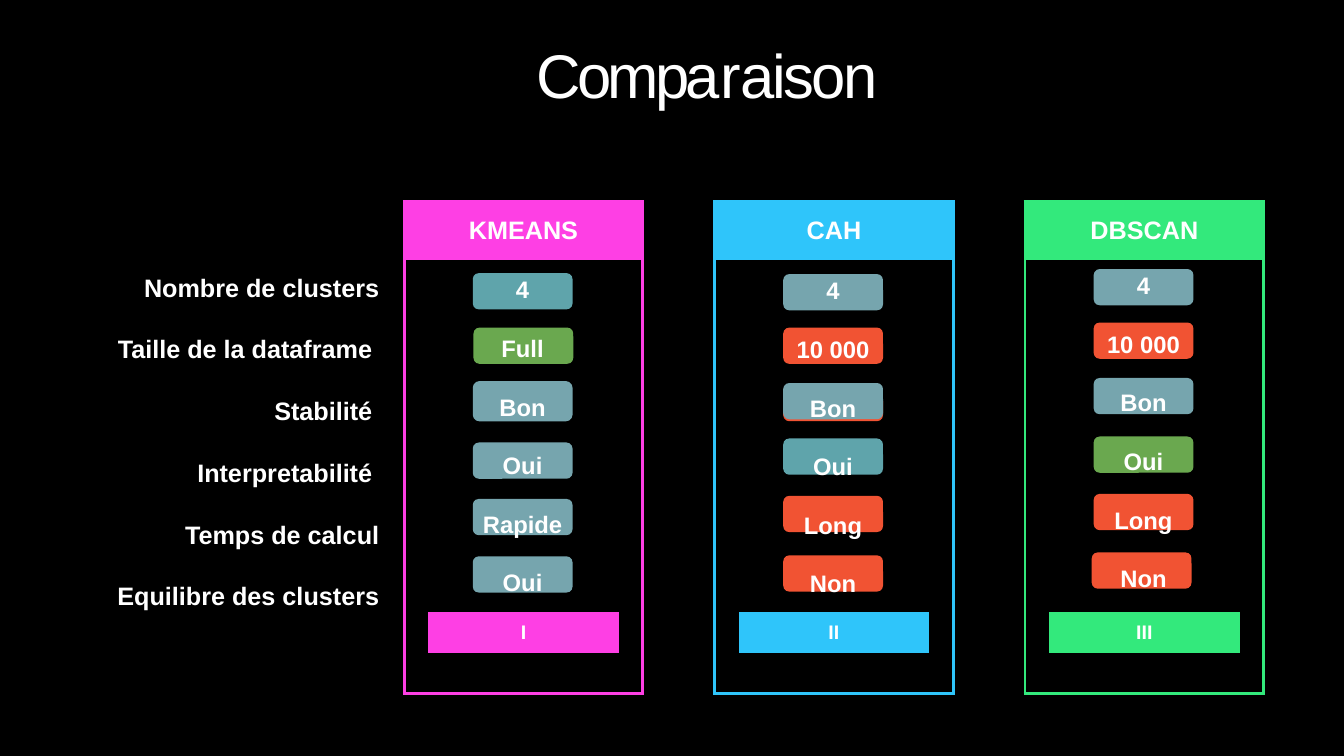
from dataclasses import dataclass

from lxml.etree import SubElement
from pptx import Presentation
from pptx.dml.color import RGBColor
from pptx.enum.shapes import MSO_SHAPE
from pptx.enum.text import MSO_ANCHOR, MSO_AUTO_SIZE, PP_ALIGN
from pptx.oxml.ns import qn
from pptx.util import Pt


@dataclass(frozen=True)
class Theme:
    font: str = "Arial"
    background: str = "000000"
    text: str = "FFFFFF"
    teal: str = "5FA4AB"
    slate: str = "76A5AE"
    green: str = "6AA84F"
    orange: str = "F15333"
    kmeans: str = "FE3FE4"
    cah: str = "2FC5FA"
    dbscan: str = "33E97C"
    title_size: float = 44
    label_size: float = 18
    value_size: float = 17
    rank_size: float = 14


THEME = Theme()
NO_GRID_STYLE = "{2D5ABB26-0587-4C30-8999-92F81FD0307C}"

# Card grid, in points
CARD_LEFT, CARD_TOP, CARD_STEP = 288.7, 144, 221.75
CARD_COLUMNS = (16.6, 136, 16.6)
CARD_ROWS = (41.8, 87.1, 62.6, 72.7, 28.1, 29.5, 28.1)
RANK_ROW = 5
BORDER = 2.25
PILL_INSET, PILL_WIDTH, PILL_HEIGHT = 49, 71.3, 25.9
VALUES_INSET, VALUES_WIDTH, VALUES_HEIGHT = 36.7, 95.8, 255.6

CRITERIA = (
    "Nombre de clusters", "Taille de la dataframe ", "Stabilité ",
    "Interpretabilité ", "Temps de calcul", "Equilibre des clusters",
)


@dataclass(frozen=True)
class Method:
    name: str
    rank: str
    color: str
    values_top: float
    values: tuple
    pills: tuple  # top, fill, then height and sideways shift where they differ


METHODS = (
    Method("KMEANS", "I", THEME.kmeans, 193,
           ("4", "Full", "Bon", "Oui", "Rapide", "Oui"),
           ((195.1, THEME.teal), (234, THEME.green, PILL_HEIGHT, 0.5),
            (272.2, THEME.slate, 28.8), (316.1, THEME.slate),
            (356.4, THEME.slate), (397.4, THEME.slate))),
    Method("CAH", "II", THEME.cah, 193.7,
           ("4", "10 000", "Bon", "Oui", "Long", "Non"),
           ((195.8, THEME.slate), (234, THEME.orange),
            (275, THEME.orange), (273.6, THEME.slate), (313.2, THEME.teal),
            (354.2, THEME.orange), (396.7, THEME.orange))),
    Method("DBSCAN", "III", THEME.dbscan, 190.1,
           ("4", "10 000", "Bon", "Oui", "Long", "Non"),
           ((192.2, THEME.slate), (230.4, THEME.orange),
            (270, THEME.slate), (311.8, THEME.green),
            (352.8, THEME.orange), (394.6, THEME.orange, PILL_HEIGHT, -1.4))),
)


def rgb(color):
    return RGBColor.from_string(color)


def style_paragraph(paragraph, size, align, bold=True):
    paragraph.alignment = align
    font = paragraph.font
    font.name, font.size, font.bold = THEME.font, Pt(size), bold
    font.color.rgb = rgb(THEME.text)


def add_title(slide):
    title = slide.shapes.title
    title.left, title.top, title.width, title.height = Pt(381.6), Pt(23), Pt(289.4), Pt(54.7)
    frame = title.text_frame
    frame.auto_size = MSO_AUTO_SIZE.NONE
    frame.vertical_anchor = MSO_ANCHOR.TOP
    frame.margin_left, frame.margin_top = Pt(1.4), Pt(3.5)
    frame.margin_right = frame.margin_bottom = 0
    heading = frame.paragraphs[0]
    # Letter spacing in hundredths of a point
    for part, tracking in (("Compa", -260), ("r", -180), ("aison", -190)):
        run = heading.add_run()
        run.text = part
        run.font._element.set("spc", str(tracking))
    style_paragraph(heading, THEME.title_size, PP_ALIGN.LEFT, bold=False)


def add_text_column(slide, lines, box, size, align, gap):
    frame = slide.shapes.add_textbox(*map(Pt, box)).text_frame
    frame.word_wrap = True
    for index, line in enumerate(lines):
        paragraph = frame.add_paragraph() if index else frame.paragraphs[0]
        paragraph.text = line
        if index:
            paragraph.space_before = Pt(gap)
        style_paragraph(paragraph, size, align)


def add_border(cell, side, color):
    properties = cell._tc.get_or_add_tcPr()
    line = SubElement(properties, qn(f"a:ln{side}"), w=str(Pt(BORDER)))
    fill = SubElement(line, qn("a:solidFill"))
    SubElement(fill, qn("a:srgbClr"), val=color)


def fill_cell(cell, color):
    cell.fill.solid()
    cell.fill.fore_color.rgb = rgb(color)


def write_cell(cell, text, size):
    cell.text = text
    cell.vertical_anchor = MSO_ANCHOR.MIDDLE
    style_paragraph(cell.text_frame.paragraphs[0], size, PP_ALIGN.CENTER)


def add_card(slide, method, left):
    last_row, last_column = len(CARD_ROWS) - 1, len(CARD_COLUMNS) - 1
    card = slide.shapes.add_table(
        len(CARD_ROWS), len(CARD_COLUMNS), Pt(left), Pt(CARD_TOP),
        Pt(sum(CARD_COLUMNS)), Pt(sum(CARD_ROWS))).table
    card.first_row = card.horz_banding = False
    card._tbl.tblPr.find(qn("a:tableStyleId")).text = NO_GRID_STYLE
    for column, width in zip(card.columns, CARD_COLUMNS):
        column.width = Pt(width)
    for row, height in zip(card.rows, CARD_ROWS):
        row.height = Pt(height)

    # Outer frame, coloured header and rank cell
    for r in range(last_row + 1):
        for c in range(last_column + 1):
            cell = card.cell(r, c)
            edges = {"L": c == 0, "R": c == last_column, "T": r == 0, "B": r == last_row}
            for side, on_edge in edges.items():
                if on_edge:
                    add_border(cell, side, method.color)
            if r == 0 or (r, c) == (RANK_ROW, 1):
                fill_cell(cell, method.color)
            else:
                cell.fill.background()
    card.cell(2, 1).merge(card.cell(3, 1))
    write_cell(card.cell(0, 1), method.name, THEME.label_size)
    write_cell(card.cell(RANK_ROW, 1), method.rank, THEME.rank_size)


def add_pill(slide, left, top, color, height=PILL_HEIGHT, shift=0):
    pill = slide.shapes.add_shape(
        MSO_SHAPE.ROUNDED_RECTANGLE, Pt(left + shift), Pt(top), Pt(PILL_WIDTH), Pt(height))
    pill.shadow.inherit = False
    pill.fill.solid()
    pill.fill.fore_color.rgb = rgb(color)
    pill.line.fill.background()


def main():
    presentation = Presentation()
    presentation.slide_width, presentation.slide_height = Pt(960), Pt(540)
    slide = presentation.slides.add_slide(presentation.slide_layouts[5])
    slide.background.fill.solid()
    slide.background.fill.fore_color.rgb = rgb(THEME.background)

    add_title(slide)

    # Row labels
    add_text_column(slide, CRITERIA, (20, 190.8, 258, 290.9),
                    THEME.label_size, PP_ALIGN.RIGHT, gap=22.5)

    # One card per clustering method
    for index, method in enumerate(METHODS):
        left = CARD_LEFT + index * CARD_STEP
        add_card(slide, method, left)
        for pill in method.pills:
            add_pill(slide, left + PILL_INSET, *pill)
        add_text_column(
            slide, method.values,
            (left + VALUES_INSET, method.values_top, VALUES_WIDTH, VALUES_HEIGHT),
            THEME.value_size, PP_ALIGN.CENTER, gap=21.4)

    presentation.save("out.pptx")


if __name__ == "__main__":
    main()
